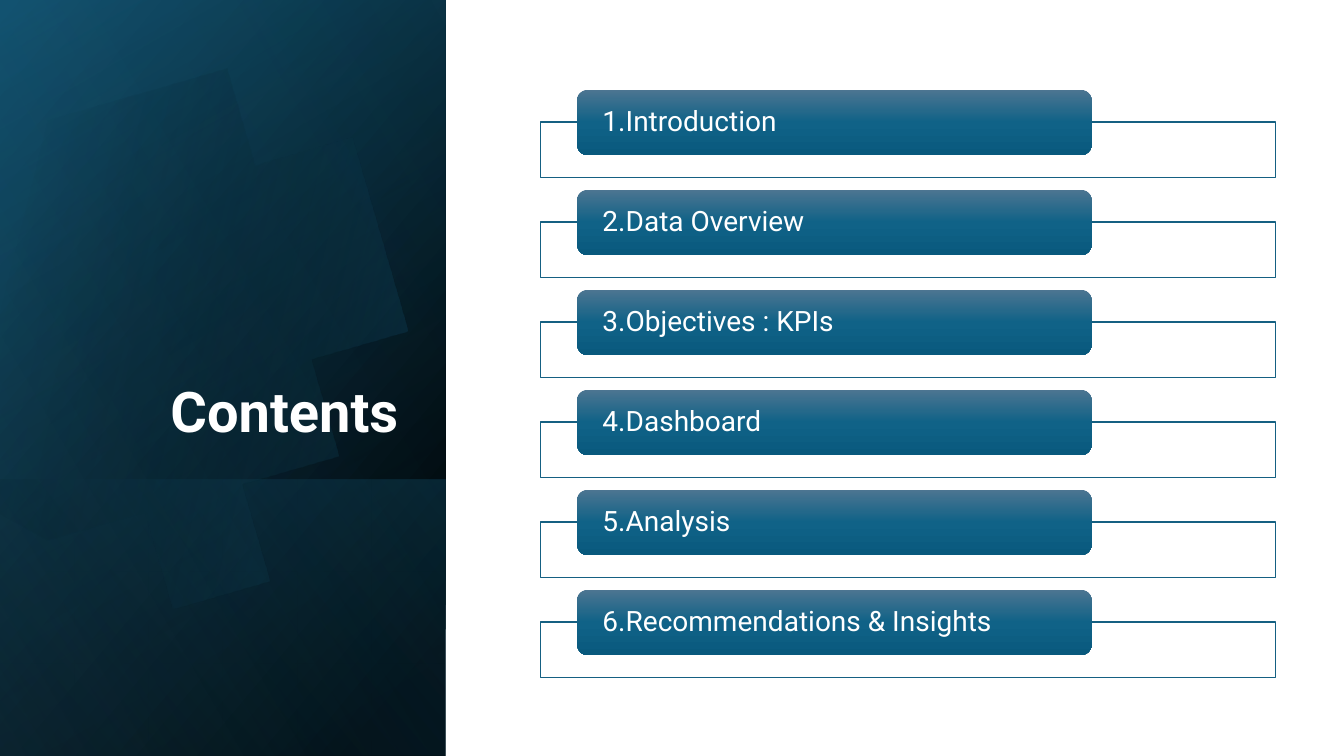
import math

from lxml import etree
from pptx import Presentation
from pptx import util as u
from pptx.dml.color import RGBColor
from pptx.enum import shapes, text
from pptx.oxml import ns

W, H = 13.33, 7.5
PANEL_W = 4.42
LIST_LEFT, LIST_TOP, LIST_W = 5.36, 0.89, 7.29
ROW_PITCH = 4.96 / 5
FRAME_DROP, FRAME_H = 0.32, 0.55
BADGE_W, BADGE_H = LIST_W * 0.7, 0.65
FONT = "Roboto"

WHITE = RGBColor(0xFF, 0xFF, 0xFF)
BLACK = RGBColor(0x00, 0x00, 0x00)
TEAL = RGBColor(0x15, 0x60, 0x82)
DEEP_TEAL = RGBColor(0x10, 0x48, 0x62)
SKY = RGBColor(0x46, 0xB1, 0xE1)
BADGE_TOP = RGBColor(0x4C, 0x75, 0x91)
BADGE_MID = RGBColor(0x10, 0x62, 0x87)
BADGE_LOW = RGBColor(0x09, 0x59, 0x7D)

ITEMS = ["1.Introduction", "2.Data Overview", "3.Objectives : KPIs",
         "4.Dashboard", "5.Analysis", "6.Recommendations & Insights"]

DISC_START = (1.49, 1.1)
DISC_SEGMENTS = [
    [(2.46, 1.12), (3.35, 1.77), (3.63, 2.75)],
    [(3.98, 3.97), (3.28, 5.23), (2.07, 5.58)],
    [(1.31, 5.8), (0.53, 5.61), (-0.03, 5.14)],
    [(-0.15, 5.03)],
    [(-0.15, 1.75)],
    [(0, 1.61)],
    [(0.23, 1.42), (0.5, 1.28), (0.8, 1.19)],
    [(1.03, 1.13), (1.26, 1.1), (1.49, 1.1)],
]
DISC_CENTER = (1.58, 3.34)
DISC_TILT = 16.1


def set_alpha(color, percent):
    etree.SubElement(color, ns.qn("a:alpha"), val=str(percent * 1000))


def fill_gradient(sp, stops, angle):
    sp.fill.background()
    sp.line.fill.background()
    sp.shadow.inherit = False
    blank = sp._element.spPr.find(ns.qn("a:noFill"))
    grad = etree.Element(ns.qn("a:gradFill"), rotWithShape="1")
    gs_list = etree.SubElement(grad, ns.qn("a:gsLst"))
    for pos, color, alpha in stops:
        gs = etree.SubElement(gs_list, ns.qn("a:gs"), pos=str(pos * 1000))
        rgb = etree.SubElement(gs, ns.qn("a:srgbClr"), val=str(color))
        if alpha < 100:
            set_alpha(rgb, alpha)
    etree.SubElement(grad, ns.qn("a:lin"), ang=str(angle * 60000), scaled="0")
    blank.getparent().replace(blank, grad)


def add_box(s, kind, left, top, width, height):
    return s.shapes.add_shape(kind, u.Inches(left), u.Inches(top),
                              u.Inches(width), u.Inches(height))


def add_panel(s, top, stops, angle):
    length = H - top
    sp = add_box(s, shapes.MSO_SHAPE.RECTANGLE, (PANEL_W - length) / 2,
                 top + (length - PANEL_W) / 2, length, PANEL_W)
    sp.rotation = 90
    sp._element.spPr.find(ns.qn("a:xfrm")).set("flipH", "1")
    fill_gradient(sp, stops, angle)


def bezier(a, b, c, d, steps=24):
    for i in range(1, steps + 1):
        t = i / steps
        k = 1 - t
        yield tuple(k**3 * p + 3 * k * k * t * q + 3 * k * t * t * r + t**3 * v
                    for p, q, r, v in zip(a, b, c, d))


def untilt(point):
    a = math.radians(DISC_TILT)
    dx, dy = point[0] - DISC_CENTER[0], point[1] - DISC_CENTER[1]
    return (DISC_CENTER[0] + dx * math.cos(a) - dy * math.sin(a),
            DISC_CENTER[1] + dx * math.sin(a) + dy * math.cos(a))


def add_disc(s):
    points = [DISC_START]
    for seg in DISC_SEGMENTS:
        points.extend(bezier(points[-1], *seg) if len(seg) == 3 else seg)
    points = [untilt(pt) for pt in points]
    builder = s.shapes.build_freeform(*points[0], scale=u.Inches(1))
    builder.add_line_segments(points[1:], close=True)
    sp = builder.convert_to_shape()
    sp.rotation = 360 - DISC_TILT
    fill_gradient(sp, [(29, BLACK, 0), (100, TEAL, 43)], 30)


def write(tf, words, size, align, bold=False):
    p = tf.paragraphs[0]
    p.alignment = align
    p.line_spacing = 0.9
    r = p.add_run()
    r.text = words
    r.font.name = FONT
    r.font.size = u.Pt(size)
    r.font.bold = bold
    r.font.color.rgb = WHITE
    return p


def place_title(s, words):
    title = s.shapes.title
    title.left, title.top = u.Inches(0.64), u.Inches(1.84)
    title.width, title.height = u.Inches(3.41), u.Inches(2.62)
    tf = title.text_frame
    tf.word_wrap = True
    tf.auto_size = text.MSO_AUTO_SIZE.NONE
    tf.vertical_anchor = text.MSO_ANCHOR.BOTTOM
    p = write(tf, words, 40, text.PP_ALIGN.RIGHT, bold=True)
    p.space_after = u.Pt(6)
    title._element.getparent().append(title._element)


def add_item(s, row, words):
    top = LIST_TOP + row * ROW_PITCH
    frame = add_box(s, shapes.MSO_SHAPE.RECTANGLE, LIST_LEFT, top + FRAME_DROP,
                    LIST_W, FRAME_H)
    frame.shadow.inherit = False
    frame.fill.solid()
    frame.fill.fore_color.rgb = WHITE
    set_alpha(frame._element.spPr.find(ns.qn("a:solidFill"))[0], 90)
    frame.line.color.rgb = TEAL
    frame.line.width = u.Pt(1)

    badge = add_box(s, shapes.MSO_SHAPE.ROUNDED_RECTANGLE,
                    LIST_LEFT + LIST_W * 0.05, top, BADGE_W, BADGE_H)
    fill_gradient(badge, [(0, BADGE_TOP, 100), (50, BADGE_MID, 100),
                          (100, BADGE_LOW, 100)], 90)
    tf = badge.text_frame
    tf.word_wrap = True
    tf.vertical_anchor = text.MSO_ANCHOR.MIDDLE
    tf.margin_left = tf.margin_right = u.Inches(0.22)
    tf.margin_top = tf.margin_bottom = 0
    write(tf, words, 20, text.PP_ALIGN.LEFT)


def main():
    prs = Presentation()
    prs.slide_width, prs.slide_height = u.Inches(W), u.Inches(H)
    s = prs.slides.add_slide(prs.slide_layouts[5])
    add_panel(s, 0, [(8, BLACK, 100), (100, DEEP_TEAL, 100)], 50)
    add_panel(s, 0, [(0, BLACK, 0), (99, TEAL, 46)], 30)
    add_panel(s, 4.76, [(2, TEAL, 29), (100, BLACK, 30)], 130)
    add_disc(s)
    add_panel(s, 0, [(0, BLACK, 0), (99, SKY, 11)], 120)
    place_title(s, "Contents")
    for row, words in enumerate(ITEMS):
        add_item(s, row, words)
    prs.save("out.pptx")


if __name__ == "__main__":
    main()
